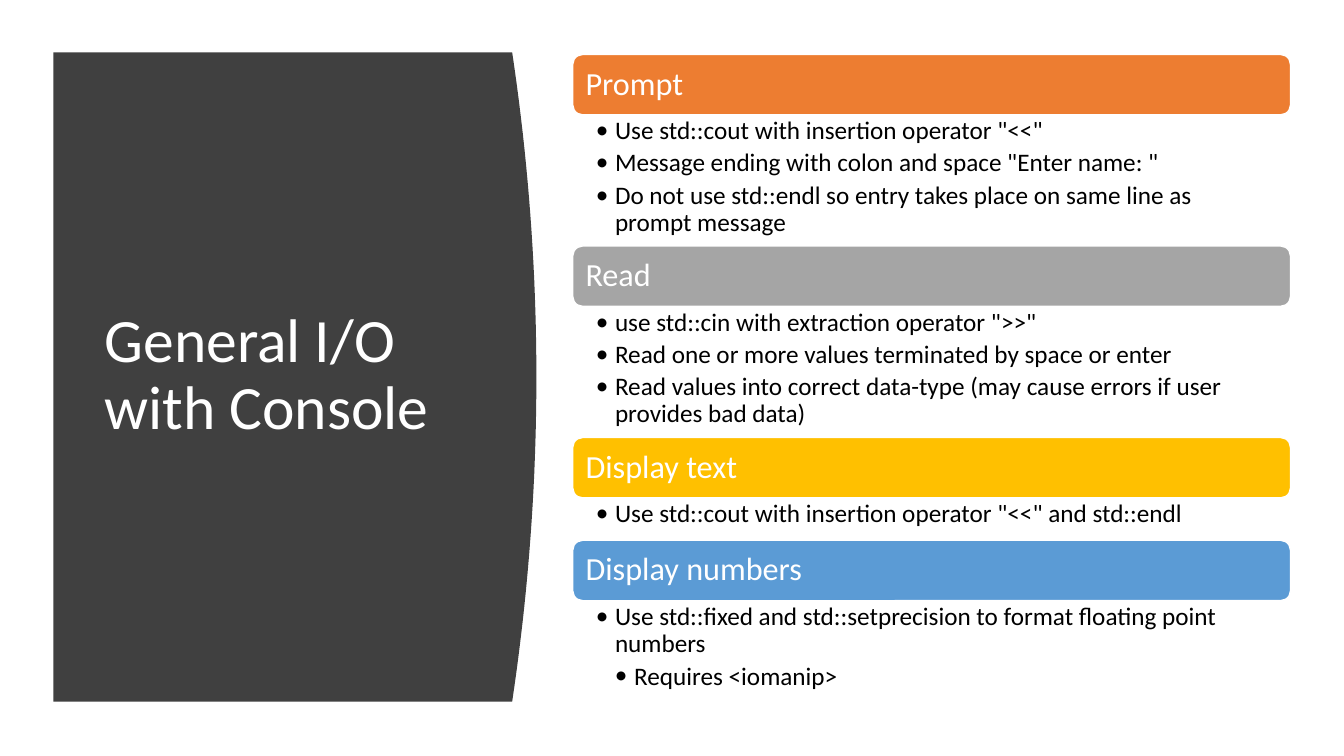
from lxml.etree import SubElement
from pptx import Presentation
from pptx.dml.color import RGBColor
from pptx.enum.shapes import MSO_SHAPE
from pptx.enum.text import MSO_ANCHOR, PP_ALIGN
from pptx.oxml.ns import qn
from pptx.util import Inches, Pt

WHITE = RGBColor(0xFF, 0xFF, 0xFF)
BLACK = RGBColor(0, 0, 0)
DARK = RGBColor(0x40, 0x40, 0x40)
ORANGE = RGBColor(0xED, 0x7D, 0x31)
GRAY = RGBColor(0xA5, 0xA5, 0xA5)
GOLD = RGBColor(0xFF, 0xC0, 0x00)
BLUE = RGBColor(0x5B, 0x9B, 0xD5)

FONT = "Calibri"
LEFT, TOP, WIDTH, BAND = 5.68, 0.54, 7.12, 0.6
INDENT = 0.19

TOPICS = [
    ("Prompt", ORANGE, 1.3, [
        (1, 'Use std::cout with insertion operator "<<"'),
        (1, 'Message ending with colon and space "Enter name: "'),
        (1, "Do not use std::endl so entry takes place on same line as prompt message"),
    ]),
    ("Read", GRAY, 1.3, [
        (1, 'use std::cin with extraction operator ">>"'),
        (1, "Read one or more values terminated by space or enter"),
        (1, "Read values into correct data-type (may cause errors if user provides bad data)"),
    ]),
    ("Display text", GOLD, 0.42, [
        (1, 'Use std::cout with insertion operator "<<" and std::endl'),
    ]),
    ("Display numbers", BLUE, 0.96, [
        (1, "Use std::fixed and std::setprecision to format floating point numbers"),
        (2, "Requires <iomanip>"),
    ]),
]


def write(para, text, size=18, color=BLACK, after=0, level=0):
    para.alignment = PP_ALIGN.LEFT
    para.line_spacing = 0.9
    para.space_after = Pt(after)
    run = para.add_run()
    run.text = text
    run.font.name = FONT
    run.font.size = Pt(size)
    run.font.color.rgb = color
    if level:
        para.level = level
        props = para._p.get_or_add_pPr()
        props.set("marL", str(Inches(INDENT * level)))
        props.set("indent", str(-Inches(INDENT)))
        SubElement(props, qn("a:buFont")).set("typeface", FONT)
        SubElement(props, qn("a:buChar")).set("char", "•")


def set_frame(shape, anchor, pads):
    frame = shape.text_frame
    frame.word_wrap = True
    frame.vertical_anchor = anchor
    (frame.margin_left, frame.margin_top,
     frame.margin_right, frame.margin_bottom) = map(Inches, pads)
    return frame


def add_panel(slide):
    left, top, edge, peak, foot = 0.53, 0.52, 5.08, 5.32, 6.96
    half, steps = (foot - top) / 2, 40
    curve = []
    for i in range(steps + 1):
        t = 2 * i / steps - 1
        x = peak - (peak - edge) * t * t
        curve.append((Inches(x), Inches(top + half * (t + 1))))
    form = slide.shapes.build_freeform(Inches(left), Inches(top))
    form.add_line_segments(curve + [(Inches(left), Inches(foot))], close=True)
    panel = form.convert_to_shape()
    panel.shadow.inherit = False
    panel.fill.solid()
    panel.fill.fore_color.rgb = DARK
    panel.line.fill.background()


def add_title(slide, text):
    box = slide.shapes.add_textbox(Inches(0.94), Inches(1.11), Inches(3.74), Inches(5.24))
    frame = set_frame(box, MSO_ANCHOR.MIDDLE, (0.1, 0.05, 0.1, 0.05))
    write(frame.paragraphs[0], text, size=44, color=WHITE)


def add_band(slide, top, text, color):
    band = slide.shapes.add_shape(
        MSO_SHAPE.ROUNDED_RECTANGLE, Inches(LEFT), Inches(top), Inches(WIDTH), Inches(BAND))
    band.shadow.inherit = False
    band.fill.solid()
    band.fill.fore_color.rgb = color
    band.line.color.rgb = WHITE
    band.line.width = Pt(1)
    frame = set_frame(band, MSO_ANCHOR.MIDDLE, (0.1, 0.1, 0.1, 0.1))
    write(frame.paragraphs[0], text, size=23, color=WHITE, after=8)


def add_points(slide, top, height, points):
    box = slide.shapes.add_textbox(Inches(LEFT), Inches(top), Inches(WIDTH), Inches(height))
    frame = set_frame(box, MSO_ANCHOR.TOP, (0.23, 0.03, 0.18, 0.03))
    for i, (level, text) in enumerate(points):
        para = frame.add_paragraph() if i else frame.paragraphs[0]
        write(para, text, after=3.6, level=level)


def main():
    deck = Presentation()
    deck.slide_width, deck.slide_height = Inches(13.33), Inches(7.5)
    slide = deck.slides.add_slide(deck.slide_layouts[6])
    add_panel(slide)
    add_title(slide, "General I/O with Console")
    top = TOP
    for head, color, height, points in TOPICS:
        add_band(slide, top, head, color)
        add_points(slide, top + BAND, height, points)
        top += BAND + height
    deck.save("out.pptx")


main()
